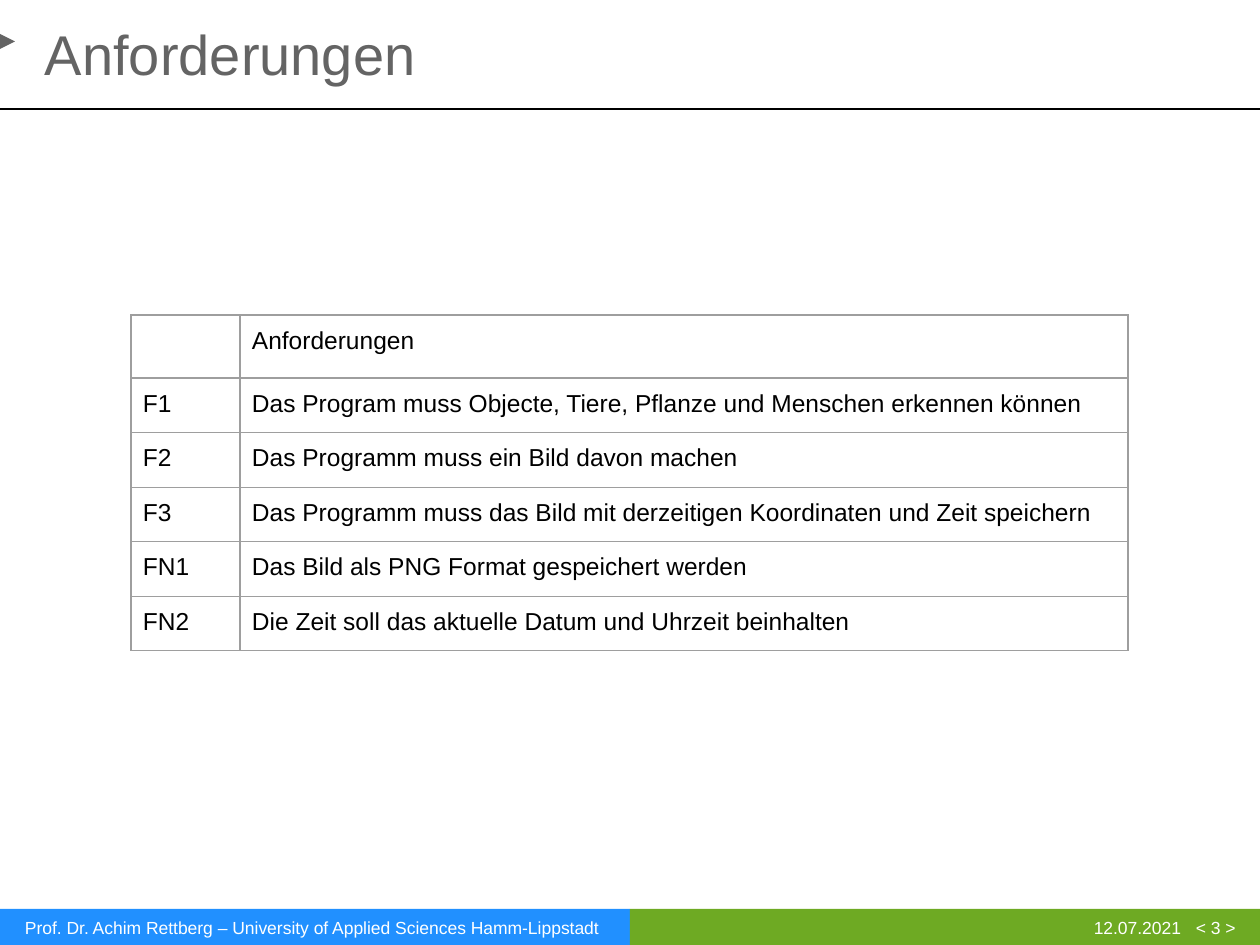
"""Build the requirements slide with its table, title and footer."""
from lxml.etree import SubElement
from pptx import Presentation
from pptx.dml.color import RGBColor
from pptx.enum.shapes import MSO_CONNECTOR, MSO_SHAPE
from pptx.enum.text import MSO_ANCHOR, MSO_AUTO_SIZE, PP_ALIGN
from pptx.oxml.ns import qn
from pptx.util import Pt

PX = 914400 // 126
WIDTH, HEIGHT = 1260, 945
BLUE = RGBColor(0x21, 0x90, 0xFF)
GREEN = RGBColor(0x6E, 0xAA, 0x23)
GRAY = RGBColor(0x64, 0x64, 0x64)
BLACK = RGBColor(0, 0, 0)
WHITE = RGBColor(255, 255, 255)
BORDER = RGBColor(0x9E, 0x9E, 0x9E)

TITLE = "Anforderungen"
REQUIREMENTS = [
    ("", "Anforderungen"),
    ("F1", "Das Program muss Objecte, Tiere, Pflanze und Menschen erkennen können"),
    ("F2", "Das Programm muss ein Bild davon machen"),
    ("F3", "Das Programm muss das Bild mit derzeitigen Koordinaten und Zeit speichern"),
    ("FN1", "Das Bild als PNG Format gespeichert werden"),
    ("FN2", "Die Zeit soll das aktuelle Datum und Uhrzeit beinhalten"),
]
COLUMNS = (109, 888)
TABLE_LEFT, TABLE_TOP, HEADER_HEIGHT, BODY_HEIGHT = 131, 315, 63, 273
CELL_INSET = 12
FOOTER = [
    ("12.07.2021", (1076, 917, 105, 21), PP_ALIGN.RIGHT),
    ("Prof. Dr. Achim Rettberg – University of Applied Sciences Hamm-Lippstadt",
     (25, 917, 605, 21), PP_ALIGN.LEFT),
    ("< 3 >", (1196, 917, 64, 21), PP_ALIGN.LEFT),
]
BLOCKS = [
    (MSO_SHAPE.RECTANGLE, (0, 909, 630, 36), BLUE),
    (MSO_SHAPE.RECTANGLE, (630, 909, 630, 36), GREEN),
    (MSO_SHAPE.PENTAGON, (0, 34, 15, 15), GRAY),
]


def emu(*pixels):
    return [round(value * PX) for value in pixels]


def set_all(target, values):
    for key, value in values.items():
        setattr(target, key, value)


def write(frame, text, size, color, inset=0, align=PP_ALIGN.LEFT):
    sides = ("margin_left", "margin_top", "margin_right", "margin_bottom")
    set_all(frame, dict.fromkeys(sides, inset * PX))
    line = frame.paragraphs[0]
    line.alignment = align
    if text:
        run = line.add_run()
        run.text = text
        set_all(run.font, {"name": "Arial", "size": Pt(size), "bold": False})
        run.font.color.rgb = color
    return line


def outline(cell):
    properties = cell._tc.get_or_add_tcPr()
    for side in ("lnL", "lnR", "lnT", "lnB"):
        edge = SubElement(properties, qn(f"a:{side}"), w=str(Pt(0.75)))
        fill = SubElement(edge, qn("a:solidFill"))
        SubElement(fill, qn("a:srgbClr"), val=str(BORDER))


deck = Presentation()
deck.slide_width, deck.slide_height = emu(WIDTH, HEIGHT)
slide = deck.slides.add_slide(deck.slide_layouts[5])
shapes = slide.shapes

for kind, place, color in BLOCKS:
    block = shapes.add_shape(kind, *emu(*place))
    block.shadow.inherit = False
    block.fill.solid()
    block.fill.fore_color.rgb = color
    block.line.fill.background()
    if kind == MSO_SHAPE.PENTAGON:
        block.adjustments[0] = 1

rule = shapes.add_connector(MSO_CONNECTOR.STRAIGHT, *emu(0, 109, WIDTH, 109))
rule.line.color.rgb = BLACK
rule.line.width = Pt(1.5)
SubElement(rule._element.spPr, qn("a:effectLst"))

for text, place, align in FOOTER:
    box = shapes.add_textbox(*emu(*place))
    box.text_frame.word_wrap = True
    write(box.text_frame, text, 10, WHITE, align=align)

title = shapes.title
set_all(title, dict(zip(("left", "top", "width", "height"), emu(45, 16, 722, 68))))
set_all(title.text_frame, {"vertical_anchor": MSO_ANCHOR.TOP, "word_wrap": True,
                           "auto_size": MSO_AUTO_SIZE.NONE})
write(title.text_frame, TITLE, 32, GRAY).line_spacing = 1.05

table = shapes.add_table(len(REQUIREMENTS), len(COLUMNS), *emu(
    TABLE_LEFT, TABLE_TOP, sum(COLUMNS), HEADER_HEIGHT + BODY_HEIGHT)).table
set_all(table, {"first_row": False, "horz_banding": False})
for column, width in zip(table.columns, COLUMNS):
    column.width = width * PX
for index, (row, texts) in enumerate(zip(table.rows, REQUIREMENTS)):
    height = BODY_HEIGHT / (len(REQUIREMENTS) - 1) if index else HEADER_HEIGHT
    row.height = round(height * PX)
    for cell, text in zip(row.cells, texts):
        write(cell.text_frame, text, 14, BLACK)
        set_all(cell, dict.fromkeys(
            ("margin_left", "margin_top", "margin_right", "margin_bottom"), CELL_INSET * PX))
        outline(cell)
        cell.fill.background()

deck.save("out.pptx")
